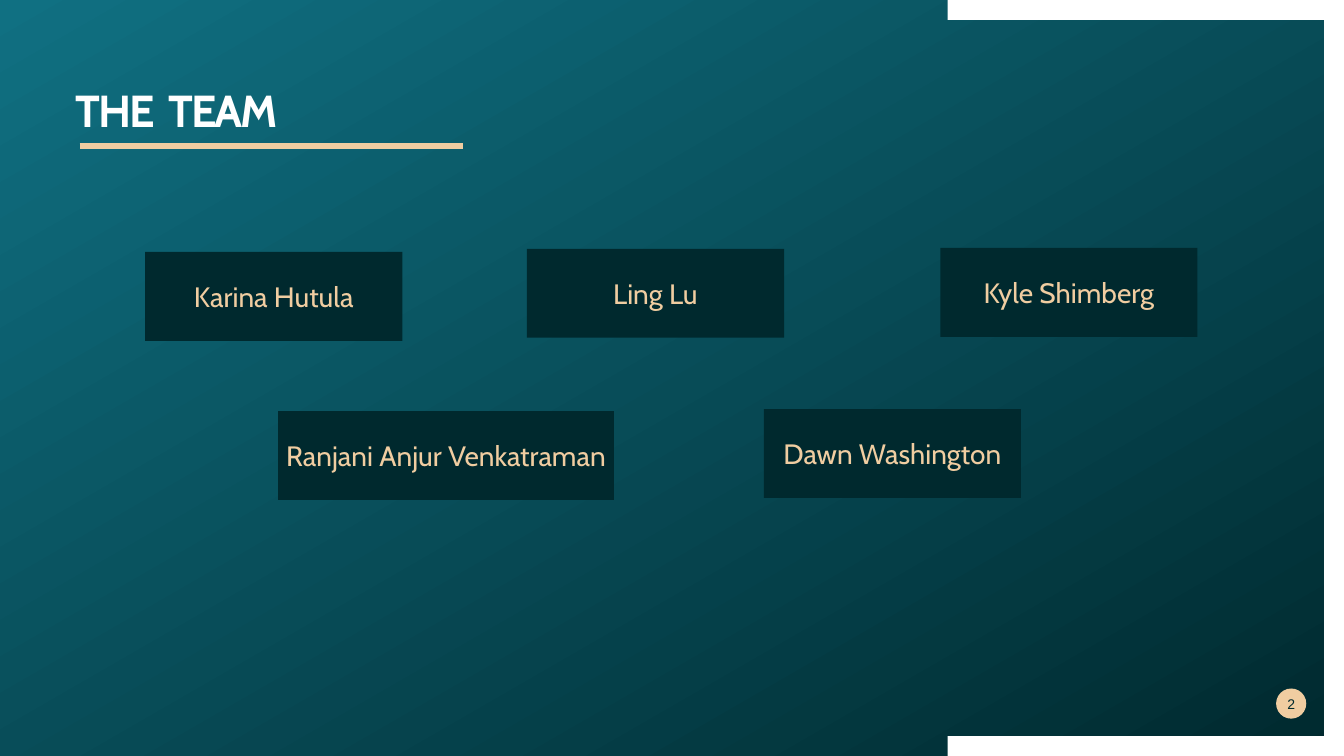
from lxml.etree import SubElement
from pptx import Presentation
from pptx.dml.color import RGBColor
from pptx.enum.shapes import MSO_CONNECTOR, MSO_SHAPE
from pptx.enum.text import MSO_ANCHOR, PP_ALIGN
from pptx.oxml.ns import qn
from pptx.util import Cm, Pt

TITLE = "THE  TEAM"
PAGE_NUMBER = "2"
MEMBERS = [
    ("Karina Hutula", 3.66, 6.35, 6.48),
    ("Ling Lu", 13.28, 6.27, 6.48),
    ("Kyle Shimberg", 23.7, 6.25, 6.48),
    ("Ranjani Anjur Venkatraman", 7.01, 10.36, 8.46),
    ("Dawn Washington", 19.25, 10.31, 6.48),
]
COLORS = {"dark": "00292E", "teal": "107082", "sand": "F0CDA1", "white": "FFFFFF"}
SLIDE_W, SLIDE_H = 33.87, 19.05
MEMBER_H = 2.24
BRACKET_LEFT, BRACKET_EDGE = 23.88, 0.5


def color(name):
    return RGBColor.from_string(COLORS[name])


def paint(shape, fill):
    shape.shadow.inherit = False
    shape.line.fill.background()
    shape.fill.solid()
    shape.fill.fore_color.rgb = color(fill)


def write(shape, text, font, size, ink, align=PP_ALIGN.CENTER, anchor=MSO_ANCHOR.MIDDLE):
    frame = shape.text_frame
    frame.text = text
    frame.word_wrap = True
    frame.vertical_anchor = anchor
    frame.margin_left = frame.margin_right = frame.margin_top = frame.margin_bottom = 0
    paragraph = frame.paragraphs[0]
    paragraph.alignment = align
    run = paragraph.runs[0]
    run.font.name = font
    run.font.size = Pt(size)
    run.font.color.rgb = color(ink)
    return paragraph


def main():
    deck = Presentation()
    deck.slide_width, deck.slide_height = Cm(SLIDE_W), Cm(SLIDE_H)
    slide = deck.slides.add_slide(deck.slide_layouts[6])
    shapes = slide.shapes

    backdrop = shapes.add_shape(MSO_SHAPE.RECTANGLE, 0, 0, Cm(SLIDE_W), Cm(SLIDE_H))
    paint(backdrop, "dark")
    backdrop.fill.gradient()
    backdrop.fill.gradient_angle = 120
    for stop, name in zip(backdrop.fill.gradient_stops, ("dark", "teal")):
        stop.color.rgb = color(name)

    inner_right, inner_bottom = SLIDE_W - BRACKET_EDGE, SLIDE_H - BRACKET_EDGE
    outline = [
        (BRACKET_LEFT, 0), (SLIDE_W, 0), (SLIDE_W, SLIDE_H), (BRACKET_LEFT, SLIDE_H),
        (BRACKET_LEFT, inner_bottom), (inner_right, inner_bottom),
        (inner_right, BRACKET_EDGE), (BRACKET_LEFT, BRACKET_EDGE),
    ]
    corners = [(Cm(x), Cm(y)) for x, y in outline]
    builder = shapes.build_freeform(*corners[0])
    builder.add_line_segments(corners[1:], close=True)
    paint(builder.convert_to_shape(), "white")

    page_badge = shapes.add_shape(MSO_SHAPE.OVAL, Cm(32.16), Cm(17.35), Cm(0.76), Cm(0.76))
    paint(page_badge, "sand")
    write(page_badge, PAGE_NUMBER, "Arial", 10, "dark")

    for name, left, top, width in MEMBERS:
        member = shapes.add_shape(
            MSO_SHAPE.RECTANGLE, Cm(left), Cm(top), Cm(width), Cm(MEMBER_H))
        paint(member, "dark")
        write(member, name, "Cabin", 20, "sand").space_after = Pt(10)

    title = shapes.add_textbox(Cm(1.9), Cm(2.24), Cm(21), Cm(1.02))
    heading = write(title, TITLE, "Cabin", 32, "white", PP_ALIGN.LEFT, MSO_ANCHOR.TOP)
    heading.line_spacing = 0.9
    heading.runs[0].font.bold = True
    heading.runs[0].font._element.set("spc", "-150")

    underline = shapes.add_connector(
        MSO_CONNECTOR.STRAIGHT, Cm(2.01), Cm(3.68), Cm(11.66), Cm(3.68))
    underline.line.color.rgb = color("sand")
    underline.line.width = Pt(4.32)
    SubElement(underline._element.spPr, qn("a:effectLst"))

    deck.save("out.pptx")


if __name__ == "__main__":
    main()
